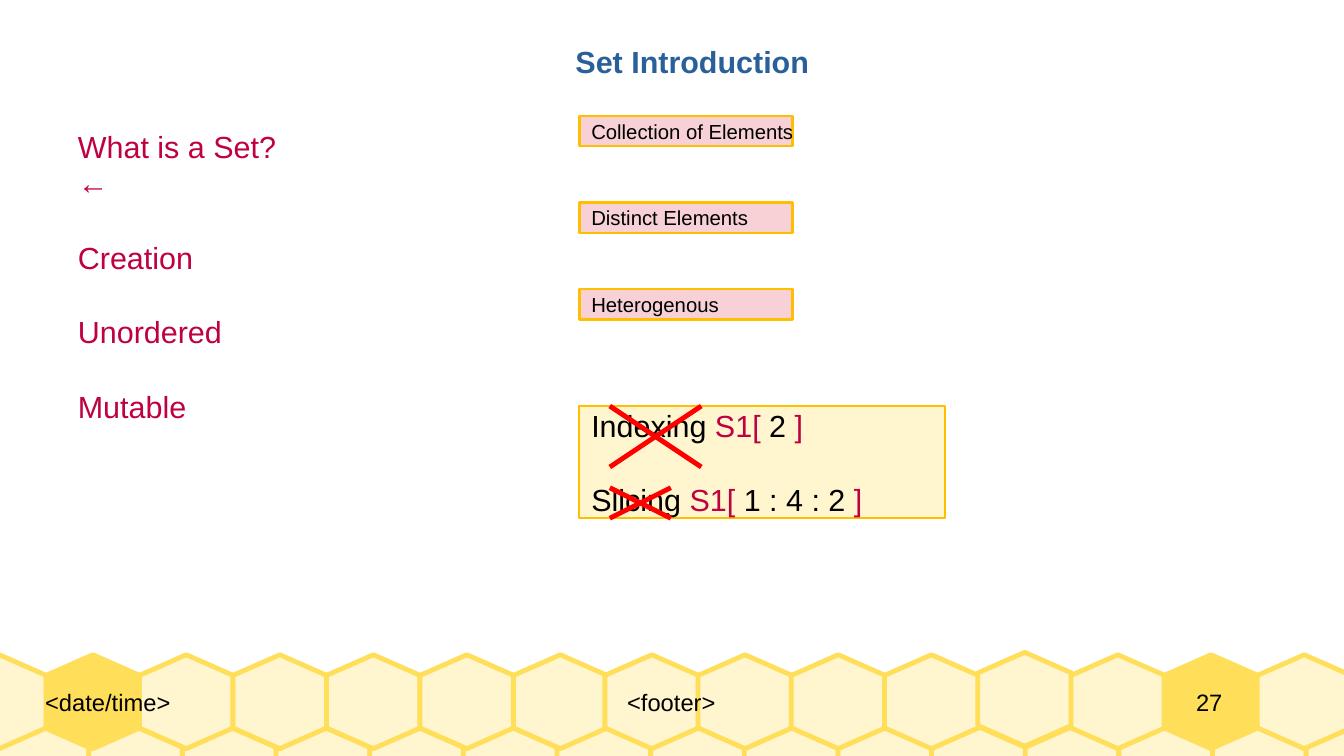
from pptx import Presentation
from pptx.dml.color import RGBColor
from pptx.enum.shapes import MSO_CONNECTOR, MSO_SHAPE
from pptx.enum.text import MSO_ANCHOR, MSO_AUTO_SIZE, PP_ALIGN
from pptx.oxml.ns import qn
from pptx.util import Inches, Pt
from lxml import etree

RECTANGLE = MSO_SHAPE.RECTANGLE
STRAIGHT = MSO_CONNECTOR.STRAIGHT
TOP, MIDDLE = MSO_ANCHOR.TOP, MSO_ANCHOR.MIDDLE
FIT, FIXED = MSO_AUTO_SIZE.SHAPE_TO_FIT_TEXT, MSO_AUTO_SIZE.NONE
LEFT, CENTER, JUSTIFY = PP_ALIGN.LEFT, PP_ALIGN.CENTER, PP_ALIGN.JUSTIFY

BLACK = RGBColor(0x00, 0x00, 0x00)
BLUE = RGBColor(0x2A, 0x60, 0x99)
CRIMSON = RGBColor(0xBF, 0x00, 0x41)
RED = RGBColor(0xFF, 0x00, 0x00)
PINK = RGBColor(0xF7, 0xD1, 0xD5)
CREAM = RGBColor(0xFF, 0xF5, 0xCE)
HONEY = RGBColor(0xFF, 0xDE, 0x59)
AMBER = RGBColor(0xFF, 0xBF, 0x00)


class SlideBuilder:
    font_name = "Arial"
    hexagon_size = 0.77
    paragraph_gap = Pt(22.4)

    def __init__(self, slide):
        self.slide = slide

    def paint(self, shape, fill, line, width):
        shape.shadow.inherit = False
        shape.fill.solid()
        shape.fill.fore_color.rgb = fill
        shape.line.color.rgb = line
        shape.line.width = Pt(width)

    def fill_text(self, shape, paragraphs, size, align=LEFT, bold=False, **frame_format):
        """Each paragraph is a list of (text, color) runs."""
        frame = shape.text_frame
        for name, value in frame_format.items():
            setattr(frame, name, value)
        for index, runs in enumerate(paragraphs):
            paragraph = frame.add_paragraph() if index else frame.paragraphs[0]
            paragraph.alignment = align
            if index:
                paragraph.space_before = self.paragraph_gap
            for text, color in runs:
                run = paragraph.add_run()
                run.text = text
                font_format = {"name": self.font_name, "size": Pt(size), "bold": bold}
                for name, value in font_format.items():
                    setattr(run.font, name, value)
                run.font.color.rgb = color

    def text(self, box, paragraphs, size, **text_format):
        shape = self.slide.shapes.add_textbox(*map(Inches, box))
        self.fill_text(shape, paragraphs, size, **text_format)

    def footer(self, box, text, align):
        no_margins = {f"margin_{side}": 0 for side in ("left", "top", "right", "bottom")}
        self.text(box, [[(text, BLACK)]], 14, align=align, word_wrap=True,
                  vertical_anchor=MIDDLE, **no_margins)

    def box(self, box, fill, paragraphs, size):
        shape = self.slide.shapes.add_shape(RECTANGLE, *map(Inches, box))
        self.paint(shape, fill, AMBER, 1.42)
        self.fill_text(shape, paragraphs, size, align=JUSTIFY, word_wrap=False,
                       auto_size=FIXED, vertical_anchor=MIDDLE)

    def hexagon(self, left, top, fill):
        size = self.hexagon_size
        middle, right = left + size / 2, left + size
        upper, lower, bottom = top + 0.17, top + 0.6, top + size
        corners = [(left, upper), (left, lower), (middle, bottom),
                   (right, lower), (right, upper)]
        builder = self.slide.shapes.build_freeform(Inches(middle), Inches(top))
        builder.add_line_segments([(Inches(x), Inches(y)) for x, y in corners])
        self.paint(builder.convert_to_shape(), fill, HONEY, 2.83)

    def cross(self, left, top, width, height):
        right, bottom = left + width, top + height
        for start, end in ((top, bottom), (bottom, top)):
            line = self.slide.shapes.add_connector(
                STRAIGHT, *map(Inches, (left, start, right, end)))
            line.line.color.rgb = RED
            line.line.width = Pt(2.89)
            etree.SubElement(line._element.spPr, qn("a:effectLst"))


def spread(first, last, count):
    return [first + (last - first) * index / (count - 1) for index in range(count)]


def main():
    presentation = Presentation()
    presentation.slide_width = Inches(11.02)
    presentation.slide_height = Inches(6.2)
    slide = presentation.slides.add_slide(presentation.slide_layouts[6])
    builder = SlideBuilder(slide)

    # Honeycomb: lower row, then upper row with two gold cells and one raised cell
    for left in spread(-0.04, 10.71, 15):
        builder.hexagon(left, 5.96, CREAM)
    gold_cells, raised_cell = (1, 13), 11
    for index, left in enumerate(spread(-0.39, 4.21, 7) + spread(4.96, 10.31, 8)):
        builder.hexagon(left, 5.35 if index == raised_cell else 5.37,
                        HONEY if index in gold_cells else CREAM)

    # Footer
    builder.footer((0.37, 5.37, 2.63, 0.77), "<date/time>", LEFT)
    builder.footer((3, 5.37, 5.01, 0.77), "<footer>", CENTER)
    builder.footer((9.29, 5.37, 1.25, 0.77), "27", CENTER)

    # Title and topics
    fitted = {"word_wrap": False, "auto_size": FIT, "vertical_anchor": TOP}
    builder.text((4.62, 0.3, 2.12, 0.38), [[("Set Introduction", BLUE)]], 18,
                 bold=True, **fitted)
    topics = ["What is a Set?  ←", "Creation", "Unordered", "Mutable"]
    builder.text((0.54, 1, 2.21, 2.06), [[(topic, CRIMSON)] for topic in topics], 18,
                 **fitted)

    # Properties of a set
    properties = ["Collection of Elements", "Distinct Elements", "Heterogenous"]
    for index, label in enumerate(properties):
        builder.box((4.75, 0.95 + 0.71 * index, 1.75, 0.25), PINK, [[(label, BLACK)]], 12)

    # Operations a set does not support
    builder.box((4.75, 3.33, 3, 0.92), CREAM, [
        [("Indexing ", BLACK), ("S1[", CRIMSON), (" 2 ", BLACK), ("]", CRIMSON)],
        [("Slicing", BLACK), (" S1[ ", CRIMSON), ("1 : 4 : 2", BLACK), (" ]", CRIMSON)],
    ], 18)
    builder.cross(5, 3.33, 0.75, 0.5)
    builder.cross(5, 4, 0.5, 0.25)

    presentation.save("out.pptx")


if __name__ == "__main__":
    main()
